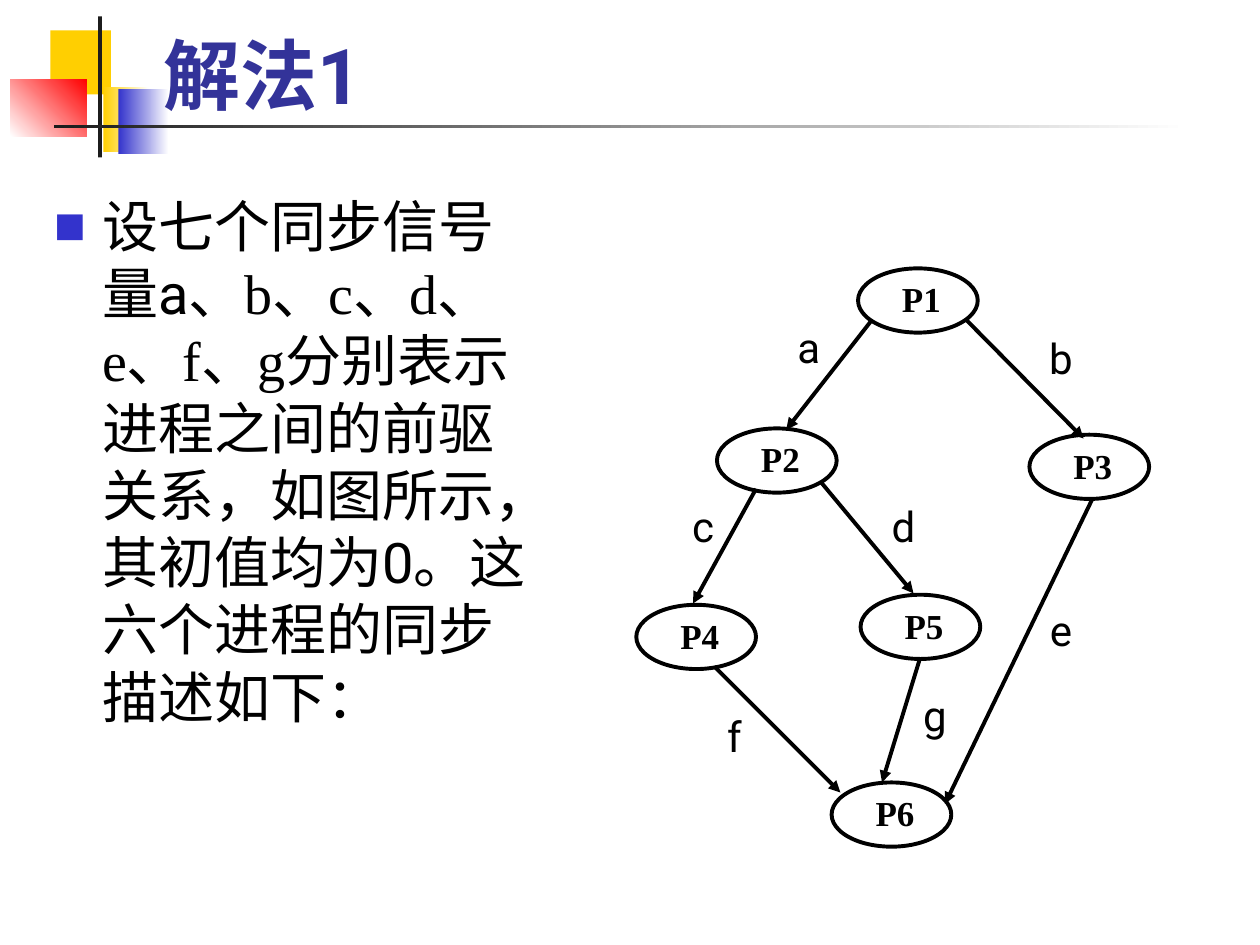
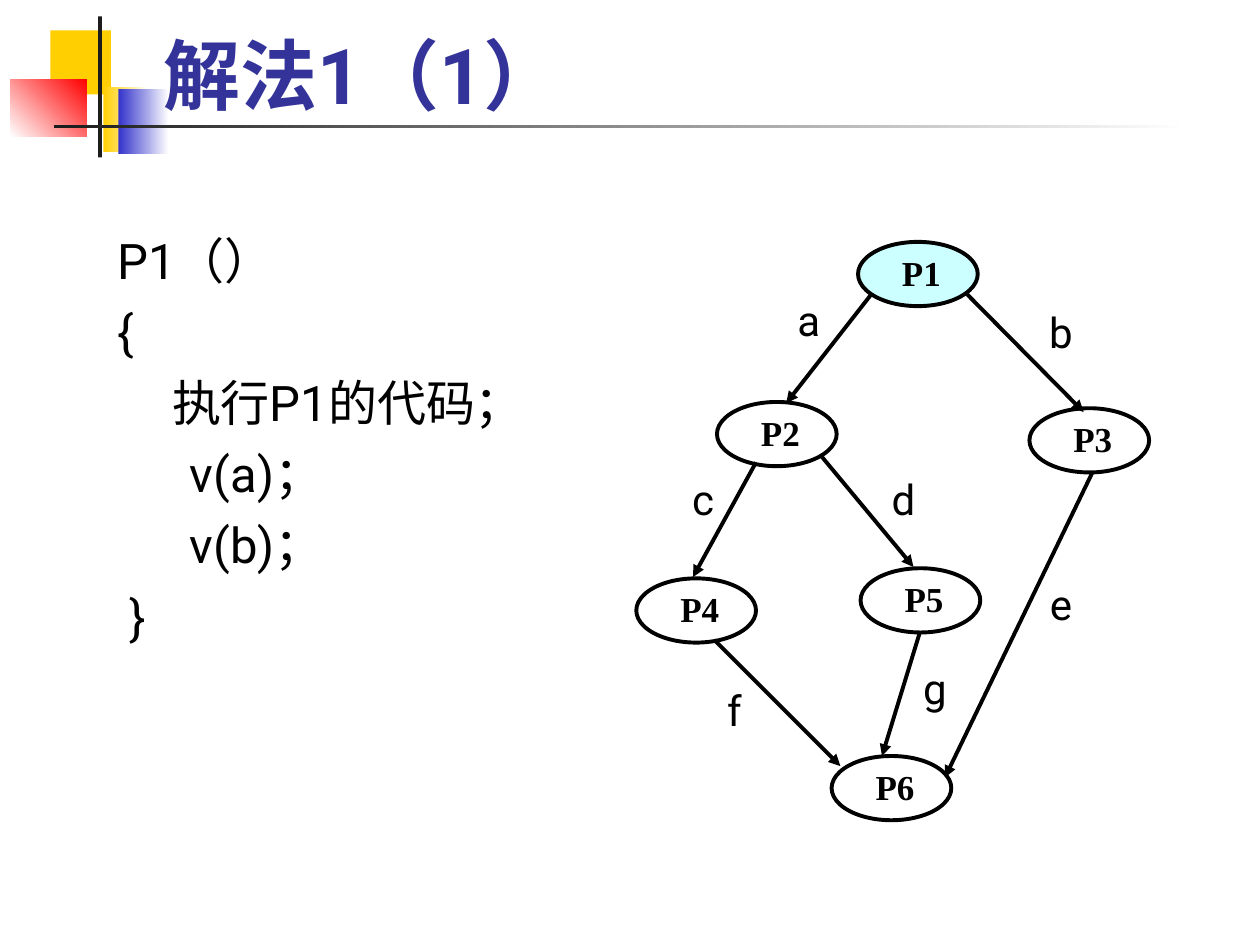
from lxml import etree
from pptx import Presentation
from pptx.dml.color import RGBColor
from pptx.enum.shapes import MSO_CONNECTOR, MSO_SHAPE
from pptx.enum.text import MSO_ANCHOR, MSO_AUTO_SIZE, PP_ALIGN
from pptx.oxml.ns import qn
from pptx.util import Inches, Pt

RECT, OVAL = MSO_SHAPE.RECTANGLE, MSO_SHAPE.OVAL
STRAIGHT = MSO_CONNECTOR.STRAIGHT
TOP, MIDDLE, BOTTOM = MSO_ANCHOR.TOP, MSO_ANCHOR.MIDDLE, MSO_ANCHOR.BOTTOM
LEFT, CENTER, JUSTIFY = PP_ALIGN.LEFT, PP_ALIGN.CENTER, PP_ALIGN.JUSTIFY

BLACK = RGBColor(0x00, 0x00, 0x00)
WHITE = RGBColor(0xFF, 0xFF, 0xFF)
YELLOW = RGBColor(0xFF, 0xCF, 0x01)
BLUE = RGBColor(0x33, 0x33, 0xCC)
RED = RGBColor(0xFF, 0x00, 0x00)
INK = RGBColor(0x1C, 0x1C, 0x1C)
NAVY = RGBColor(0x33, 0x33, 0x99)
CYAN = RGBColor(0xCC, 0xFF, 0xFF)

SANS, SERIF = "Roboto", "Times New Roman"
COLUMNS, ROWS = 100, 75
CELL = Inches(10) // COLUMNS

TITLE_FONT = {"name": SANS, "size": Pt(44), "bold": True}
BODY_FONT = {"name": SANS, "size": Pt(32), "bold": False}
CODE_FONT = {"name": SANS, "size": Pt(28), "bold": False}
NODE_FONT = {"name": SERIF, "size": Pt(20), "bold": True}
LABEL_FONT = {"name": SANS, "size": Pt(24), "bold": False}

# Everything below is measured in grid cells.
TITLE_BOX = (12, 1.7, 85.2, 8.3)
DECORATIONS = [  # box, first colour, last colour, angle
    ((4, 2.4, 4.8, 5.1), YELLOW, None, 0),
    ((8.2, 6.9, 3.6, 5.2), YELLOW, WHITE, 0),
    ((9.4, 7.1, 4, 5.1), BLUE, WHITE, 0),
    ((0.8, 6.3, 6.1, 4.5), WHITE, RED, 45),
    ((7.8, 1.3, 0.3, 11.2), INK, None, 0),
    ((4.3, 9.9, 90, 0.3), INK, WHITE, 0),
]

# Process graph, relative to its top left corner.
NODE_SIZE = (9.5, 5.1)
NODES = {"P1": (17.6, 0), "P2": (6.4, 12.7), "P3": (31.2, 13.2),
         "P4": (0, 26.7), "P5": (17.8, 25.9), "P6": (15.5, 40.8)}
LABEL_SIZE = (5, 4.2)
ARROWS = {  # label: start, end, label corner
    "a": ((18.7, 4.1), (11.9, 12.8), (11.2, 4.1)),
    "b": ((26.2, 4.1), (35.5, 13.5), (31.2, 5)),
    "c": ((9.5, 17.5), (4.5, 26.6), (2.8, 18.3)),
    "d": ((14.6, 16.9), (22, 25.8), (18.7, 18.3)),
    "e": ((36.2, 18.3), (24.5, 42.5), (31.2, 26.6)),
    "f": ((6.2, 31.6), (16.2, 41.6), (5.3, 35)),
    "g": ((22.5, 31), (19.5, 40.8), (21.2, 33.3)),
}


def cells(*counts):
    return [round(n * CELL) for n in counts]


def shift(origin, point):
    return origin[0] + point[0], origin[1] + point[1]


def set_all(target, values):
    for name, value in values.items():
        setattr(target, name, value)


def add_run(p, text, font, color=BLACK):
    r = p.add_run()
    r.text = text
    set_all(r.font, font)
    r.font.color.rgb = color


def place(placeholder, box, anchor):
    """Move a placeholder to a box of cells and return its text frame."""
    set_all(placeholder, dict(zip(("left", "top", "width", "height"), cells(*box))))
    tf = placeholder.text_frame
    set_all(tf, {"word_wrap": True, "auto_size": MSO_AUTO_SIZE.NONE,
                 "vertical_anchor": anchor})
    return tf


def set_bullet(p, char=None):
    """Give a paragraph a hanging indent with a blue bullet, or with none."""
    pPr = p._p.get_or_add_pPr()
    pPr.set("marL", str(Inches(0.38)))
    pPr.set("indent", str(-Inches(0.38)))
    if char is None:
        etree.SubElement(pPr, qn("a:buNone"))
        return
    color = etree.SubElement(pPr, qn("a:buClr"))
    etree.SubElement(color, qn("a:srgbClr"), val=str(BLUE))
    etree.SubElement(pPr, qn("a:buSzPct"), val="60000")
    etree.SubElement(pPr, qn("a:buFont"), typeface=SANS)
    etree.SubElement(pPr, qn("a:buChar"), char=char)


def decorate(layout, s):
    """Draw the corner blocks and rules on a slide, then hand them to its layout."""
    for box, first, last, angle in DECORATIONS:
        block = s.shapes.add_shape(RECT, *cells(*box))
        block.shadow.inherit = False
        block.line.fill.background()
        if last is None:
            block.fill.solid()
            block.fill.fore_color.rgb = first
        else:
            block.fill.gradient()
            block.fill.gradient_angle = angle
            for stop, color in zip(block.fill.gradient_stops, (first, last)):
                stop.color.rgb = color
        layout.shapes.element.append(block.element)


def add_title(s, text):
    tf = place(s.shapes.title, TITLE_BOX, BOTTOM)
    p = tf.paragraphs[0]
    p.alignment = LEFT
    add_run(p, text, TITLE_FONT, NAVY)


def add_explanation(s, box, parts):
    """Fill the body with one bulleted paragraph of (text, font name) parts."""
    p = place(s.placeholders[1], box, TOP).paragraphs[0]
    set_bullet(p, "■")
    set_all(p, {"alignment": LEFT, "space_before": Pt(0)})
    for text, name in parts:
        add_run(p, text, {**BODY_FONT, "name": name})


def add_code(s, box, lines):
    tf = place(s.placeholders[1], box, TOP)
    for i, line in enumerate(lines):
        p = tf.add_paragraph() if i else tf.paragraphs[0]
        set_bullet(p)
        set_all(p, {"alignment": JUSTIFY, "space_before": Pt(7 if i else 0)})
        add_run(p, line, CODE_FONT)


def add_caption(shape, text, font, align, anchor, indent=0, wrap=True):
    tf = shape.text_frame
    set_all(tf, {"margin_left": indent, "margin_top": 0, "margin_right": 0,
                 "margin_bottom": 0, "word_wrap": wrap, "vertical_anchor": anchor})
    p = tf.paragraphs[0]
    p.alignment = align
    add_run(p, text, font)


def add_node(s, corner, name, color):
    node = s.shapes.add_shape(OVAL, *cells(*corner, *NODE_SIZE))
    node.shadow.inherit = False
    node.fill.solid()
    node.fill.fore_color.rgb = color
    node.line.color.rgb = BLACK
    node.line.width = Pt(2.25)
    add_caption(node, name, NODE_FONT, LEFT, TOP, indent=Inches(0.21))


def add_arrow(s, start, end):
    arrow = s.shapes.add_connector(STRAIGHT, *cells(*start, *end))
    arrow.line.color.rgb = BLACK
    arrow.line.width = Pt(2.25)
    etree.SubElement(arrow.line._get_or_add_ln(), qn("a:tailEnd"), type="triangle")
    etree.SubElement(arrow.element.spPr, qn("a:effectLst"))


def add_process_graph(s, origin, active=None):
    for name, corner in NODES.items():
        add_node(s, shift(origin, corner), name, CYAN if name == active else WHITE)
    for label, (start, end, corner) in ARROWS.items():
        add_arrow(s, shift(origin, start), shift(origin, end))
        box = s.shapes.add_textbox(*cells(*shift(origin, corner), *LABEL_SIZE))
        add_caption(box, label, LABEL_FONT, CENTER, MIDDLE, wrap=False)


def main():
    prs = Presentation()
    prs.slide_width, prs.slide_height = cells(COLUMNS, ROWS)
    layout = prs.slide_layouts[1]

    s = prs.slides.add_slide(layout)
    decorate(layout, s)
    add_title(s, "解法1")
    add_explanation(s, (3.3, 14.7, 40.8, 47.9), [
        ("设七个同步信号量a", SANS),
        ("、b、c、d、e、f、g分别表示进程之间的前驱关系，如图所示", SERIF),
        ("，其初值均为0。这六个进程的同步描述如下：", SANS),
    ])
    add_process_graph(s, (50.5, 21.3))

    s = prs.slides.add_slide(layout)
    add_title(s, "解法1（1）")
    add_code(s, (8.3, 17.8, 40, 42.5), [
        "P1（）",
        "{",
        "     执行P1的代码；",
        "      v(a)；",
        "      v(b)；",
        " }",
    ])
    add_process_graph(s, (50.5, 19.2), active="P1")

    prs.save("out.pptx")


if __name__ == "__main__":
    main()
